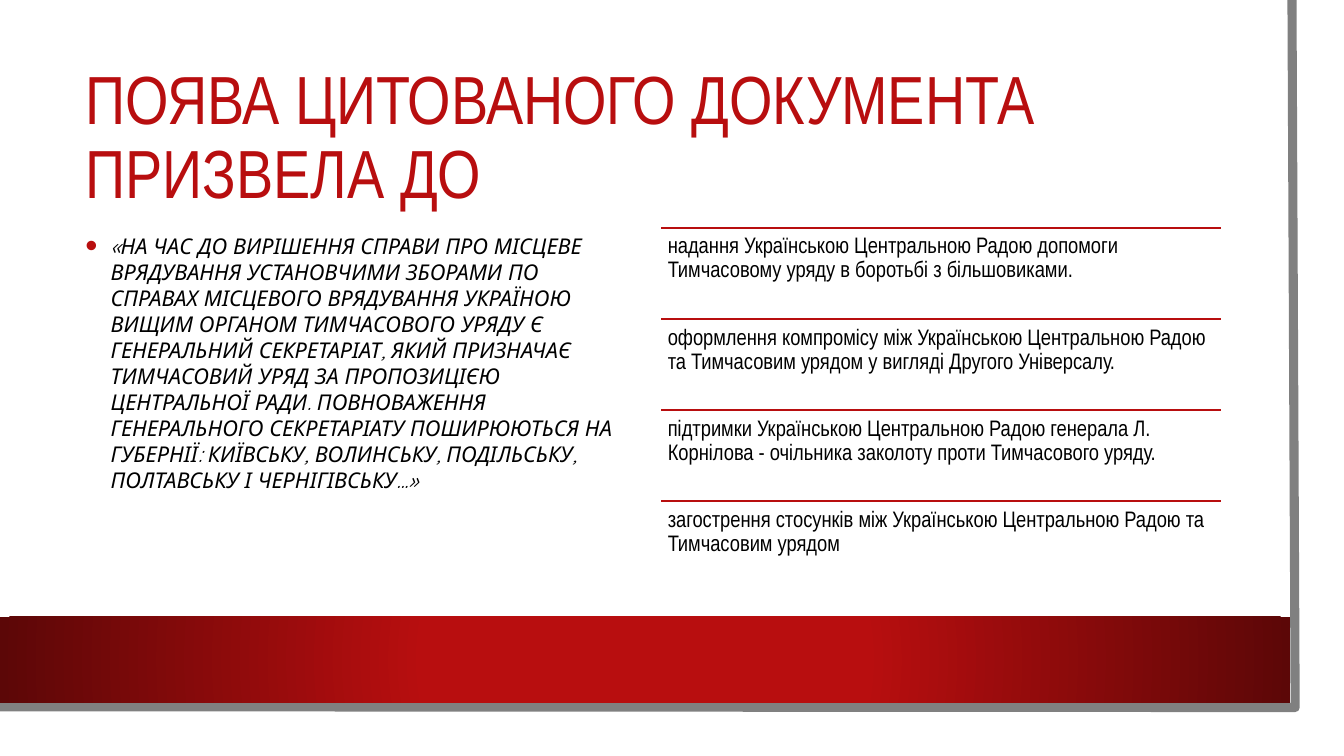
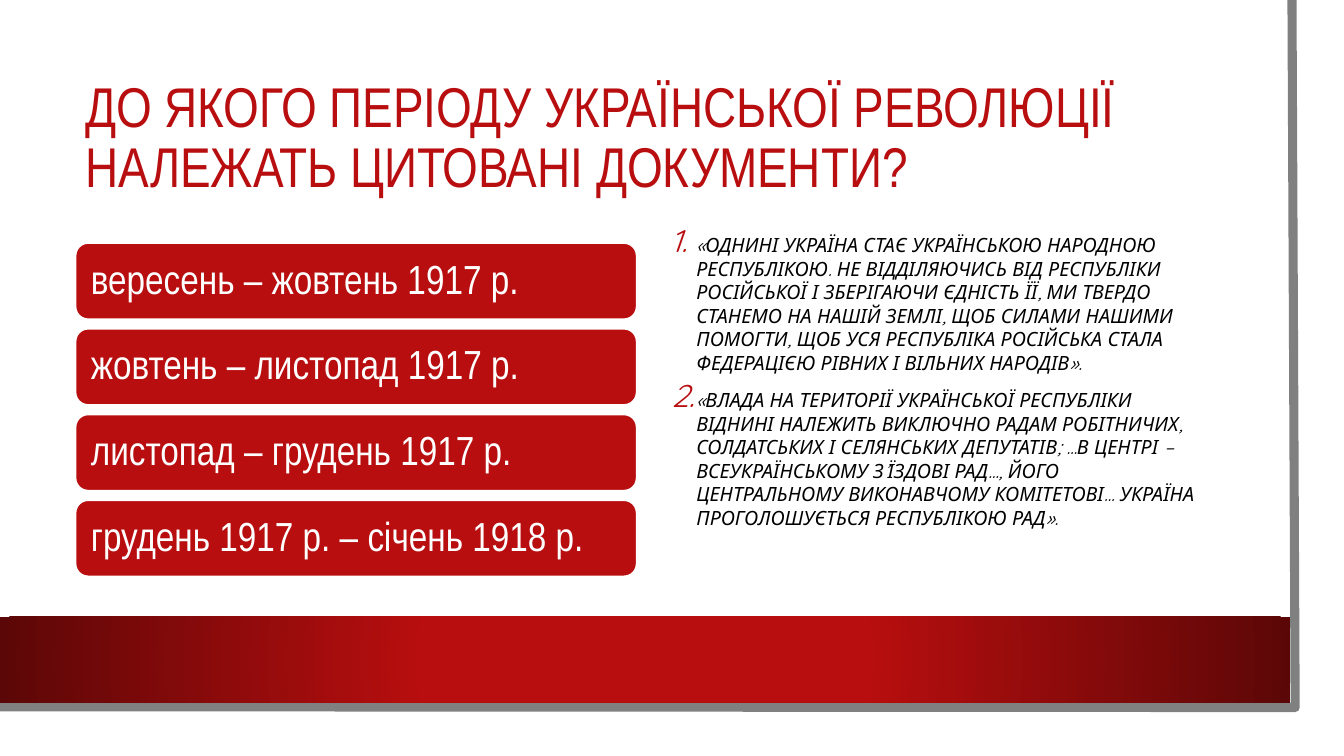
from dataclasses import dataclass

from lxml import etree
from pptx import Presentation
from pptx.dml.color import RGBColor
from pptx.enum.shapes import MSO_CONNECTOR, MSO_SHAPE
from pptx.enum.text import MSO_ANCHOR, MSO_AUTO_SIZE, PP_ALIGN
from pptx.oxml import parse_xml
from pptx.oxml.ns import nsdecls, qn
from pptx.slide import Slide
from pptx.text.text import TextFrame, _Paragraph
from pptx.util import Cm, Pt

COLORS = {
    "red": "B80E0F",
    "dark_red": "5C0707",
    "gray": "808080",
    "black": "000000",
    "white": "FFFFFF",
}
SANS = "Arial Narrow"
QUOTE_FONT = "Quicksand"
BULLET_DOT = '<a:buFont {} typeface="Arial"/>', '<a:buChar {} char="•"/>'
BULLET_NUMBER = ('<a:buAutoNum {} type="arabicPeriod"/>',)


@dataclass(frozen=True)
class Area:
    """A rectangle in centimetres."""

    left: float
    top: float
    width: float
    height: float

    def lengths(self) -> tuple[Cm, Cm, Cm, Cm]:
        return Cm(self.left), Cm(self.top), Cm(self.width), Cm(self.height)


@dataclass(frozen=True)
class TextStyle:
    font: str
    size: float
    color: str
    italic: bool = False
    line_spacing: float | None = 0.9


TITLE_AREA = Area(1.9, 1.9, 28.88, 3.23)
LEFT_COLUMN = Area(1.9, 5.74, 14.15, 9.19)
RIGHT_COLUMN = Area(16.66, 5.74, 14.12, 9.19)
BAND_AREA = Area(0, 15.54, 32.51, 2.17)

OPTION_STYLE = TextStyle(SANS, 16, "black")
PERIOD_STYLE = TextStyle(SANS, 29, "white")
PERIOD_TOP, PERIOD_HEIGHT, PERIOD_STEP = 6.12, 1.93, 2.16

DOCUMENT_TITLE = "ПОЯВА ЦИТОВАНОГО ДОКУМЕНТА ПРИЗВЕЛА ДО"
DOCUMENT_QUOTE = (
    "«НА ЧАС ДО ВИРІШЕННЯ СПРАВИ ПРО МІСЦЕВЕ ВРЯДУВАННЯ УСТАНОВЧИМИ ЗБОРАМИ "
    "ПО СПРАВАХ МІСЦЕВОГО ВРЯДУВАННЯ УКРАЇНОЮ ВИЩИМ ОРГАНОМ ТИМЧАСОВОГО УРЯДУ "
    "Є ГЕНЕРАЛЬНИЙ СЕКРЕТАРІАТ, ЯКИЙ ПРИЗНАЧАЄ ТИМЧАСОВИЙ УРЯД ЗА ПРОПОЗИЦІЄЮ "
    "ЦЕНТРАЛЬНОЇ РАДИ. ПОВНОВАЖЕННЯ ГЕНЕРАЛЬНОГО СЕКРЕТАРІАТУ ПОШИРЮЮТЬСЯ НА "
    "ГУБЕРНІЇ: КИЇВСЬКУ, ВОЛИНСЬКУ, ПОДІЛЬСЬКУ, ПОЛТАВСЬКУ І ЧЕРНІГІВСЬКУ...»"
)
OPTIONS = [
    "надання Українською Центральною Радою допомоги Тимчасовому уряду "
    "в боротьбі з більшовиками.",
    "оформлення компромісу між Українською Центральною Радою та Тимчасовим "
    "урядом у вигляді Другого Універсалу.",
    "підтримки Українською Центральною Радою генерала Л. Корнілова - "
    "очільника заколоту проти Тимчасового уряду.",
    "загострення стосунків між Українською Центральною Радою та "
    "Тимчасовим урядом",
]
PERIOD_TITLE = "ДО ЯКОГО ПЕРІОДУ УКРАЇНСЬКОЇ РЕВОЛЮЦІЇ НАЛЕЖАТЬ ЦИТОВАНІ ДОКУМЕНТИ?"
PERIODS = [
    "вересень – жовтень 1917 р.",
    "жовтень – листопад 1917 р.",
    "листопад – грудень 1917 р.",
    "грудень 1917 р. – січень 1918 р.",
]
PERIOD_QUOTES = [
    "«ОДНИНІ УКРАЇНА СТАЄ УКРАЇНСЬКОЮ НАРОДНОЮ РЕСПУБЛІКОЮ. НЕ ВІДДІЛЯЮЧИСЬ "
    "ВІД РЕСПУБЛІКИ РОСІЙСЬКОЇ І ЗБЕРІГАЮЧИ ЄДНІСТЬ ЇЇ, МИ ТВЕРДО СТАНЕМО НА "
    "НАШІЙ ЗЕМЛІ, ЩОБ СИЛАМИ НАШИМИ ПОМОГТИ, ЩОБ УСЯ РЕСПУБЛІКА РОСІЙСЬКА "
    "СТАЛА ФЕДЕРАЦІЄЮ РІВНИХ І ВІЛЬНИХ НАРОДІВ».",
    "«ВЛАДА НА ТЕРИТОРІЇ УКРАЇНСЬКОЇ РЕСПУБЛІКИ ВІДНИНІ НАЛЕЖИТЬ ВИКЛЮЧНО "
    "РАДАМ РОБІТНИЧИХ, СОЛДАТСЬКИХ І СЕЛЯНСЬКИХ ДЕПУТАТІВ; ...В ЦЕНТРІ – "
    "ВСЕУКРАЇНСЬКОМУ З’ЇЗДОВІ РАД..., ЙОГО ЦЕНТРАЛЬНОМУ ВИКОНАВЧОМУ "
    "КОМІТЕТОВІ... УКРАЇНА ПРОГОЛОШУЄТЬСЯ РЕСПУБЛІКОЮ РАД».",
]


def rgb(name: str) -> RGBColor:
    return RGBColor.from_string(COLORS[name])


def write(para: _Paragraph, text: str, style: TextStyle) -> None:
    para.text = text
    para.alignment = PP_ALIGN.LEFT
    if style.line_spacing:
        para.line_spacing = style.line_spacing
    para.font.name = style.font
    para.font.size = Pt(style.size)
    para.font.italic = style.italic
    para.font.color.rgb = rgb(style.color)


def set_frame(frame: TextFrame, anchor: MSO_ANCHOR, inset: float) -> None:
    frame.word_wrap = True
    frame.auto_size = MSO_AUTO_SIZE.NONE
    frame.vertical_anchor = anchor
    frame.margin_left = frame.margin_right = Cm(inset)
    frame.margin_top = frame.margin_bottom = Cm(min(inset, 0.3) if inset != 0.25 else 0.13)


def add_bullet(para: _Paragraph, marker: tuple[str, ...]) -> None:
    properties = para._p.get_or_add_pPr()
    properties.set("marL", str(Cm(0.64)))
    properties.set("indent", str(-Cm(0.64)))
    color = f'<a:buClr {{}}><a:srgbClr val="{COLORS["red"]}"/></a:buClr>'
    for xml in (color, '<a:buSzPct {} val="160000"/>', *marker):
        properties.append(parse_xml(xml.format(nsdecls("a"))))


def draw_frame(page: Slide) -> None:
    """Draw the gray page edge and the red band."""
    builder = page.shapes.build_freeform(Cm(32.56), Cm(0))
    builder.add_line_segments([(Cm(32.64), Cm(17.83)), (Cm(0), Cm(17.81))], close=False)
    edge = builder.convert_to_shape()
    edge.shadow.inherit = False
    edge.fill.background()
    edge.line.color.rgb = rgb("gray")
    edge.line.width = Pt(6.5)

    band = page.shapes.add_shape(MSO_SHAPE.RECTANGLE, *BAND_AREA.lengths())
    band.shadow.inherit = False
    band.line.fill.background()
    band.fill.gradient()
    gradient = band._element.spPr.find(qn("a:gradFill"))
    gradient.getparent().replace(gradient, parse_xml(
        f'<a:gradFill {nsdecls("a")} rotWithShape="1"><a:gsLst>'
        f'<a:gs pos="34000"><a:srgbClr val="{COLORS["red"]}"/></a:gs>'
        f'<a:gs pos="100000"><a:srgbClr val="{COLORS["dark_red"]}"/></a:gs></a:gsLst>'
        '<a:path path="circle"><a:fillToRect l="50000" t="50000" r="50000" b="50000"/>'
        "</a:path></a:gradFill>"
    ))


def add_page(deck: Presentation, title: str, title_size: float) -> Slide:
    page = deck.slides.add_slide(deck.slide_layouts[5])
    draw_frame(page)
    box = page.shapes.title
    box.left, box.top, box.width, box.height = TITLE_AREA.lengths()
    set_frame(box.text_frame, MSO_ANCHOR.MIDDLE, 0.25)
    write(box.text_frame.paragraphs[0], title, TextStyle(SANS, title_size, "red"))
    return page


def add_quotes(page: Slide, area: Area, quotes: list[str], size: float,
               marker: tuple[str, ...]) -> None:
    frame = page.shapes.add_textbox(*area.lengths()).text_frame
    set_frame(frame, MSO_ANCHOR.TOP, 0.25)
    style = TextStyle(QUOTE_FONT, size, "black", italic=True, line_spacing=None)
    for index, quote in enumerate(quotes):
        para = frame.add_paragraph() if index else frame.paragraphs[0]
        add_bullet(para, marker)
        if index:
            para.space_before = Pt(10)
        write(para, quote, style)


def add_options(page: Slide, area: Area, options: list[str]) -> None:
    """Stack the options, each under a red rule."""
    step = area.height / len(options)
    for index, option in enumerate(options):
        row = Area(area.left, area.top + index * step, area.width, step)
        left, top, width, _ = row.lengths()
        rule = page.shapes.add_connector(MSO_CONNECTOR.STRAIGHT, left, top, left + width, top)
        rule.line.color.rgb = rgb("red")
        rule.line.width = Pt(1.5)
        etree.SubElement(rule._element.spPr, qn("a:effectLst"))
        frame = page.shapes.add_textbox(*row.lengths()).text_frame
        set_frame(frame, MSO_ANCHOR.TOP, 0.17)
        write(frame.paragraphs[0], option, OPTION_STYLE)


def add_periods(page: Slide, column: Area, periods: list[str]) -> None:
    for index, period in enumerate(periods):
        area = Area(column.left, PERIOD_TOP + index * PERIOD_STEP, column.width, PERIOD_HEIGHT)
        button = page.shapes.add_shape(MSO_SHAPE.ROUNDED_RECTANGLE, *area.lengths())
        button.shadow.inherit = False
        button.fill.solid()
        button.fill.fore_color.rgb = rgb("red")
        button.line.color.rgb = rgb("white")
        button.line.width = Pt(1.5)
        set_frame(button.text_frame, MSO_ANCHOR.MIDDLE, 0.3)
        write(button.text_frame.paragraphs[0], period, PERIOD_STYLE)


def main() -> None:
    deck = Presentation()
    deck.slide_width, deck.slide_height = Cm(33.87), Cm(19.05)

    document_page = add_page(deck, DOCUMENT_TITLE, 48.6)
    add_quotes(document_page, LEFT_COLUMN, [DOCUMENT_QUOTE], 15.5, BULLET_DOT)
    add_options(document_page, RIGHT_COLUMN, OPTIONS)

    period_page = add_page(deck, PERIOD_TITLE, 40)
    add_periods(period_page, LEFT_COLUMN, PERIODS)
    add_quotes(period_page, RIGHT_COLUMN, PERIOD_QUOTES, 14, BULLET_NUMBER)

    deck.save("out.pptx")


if __name__ == "__main__":
    main()
